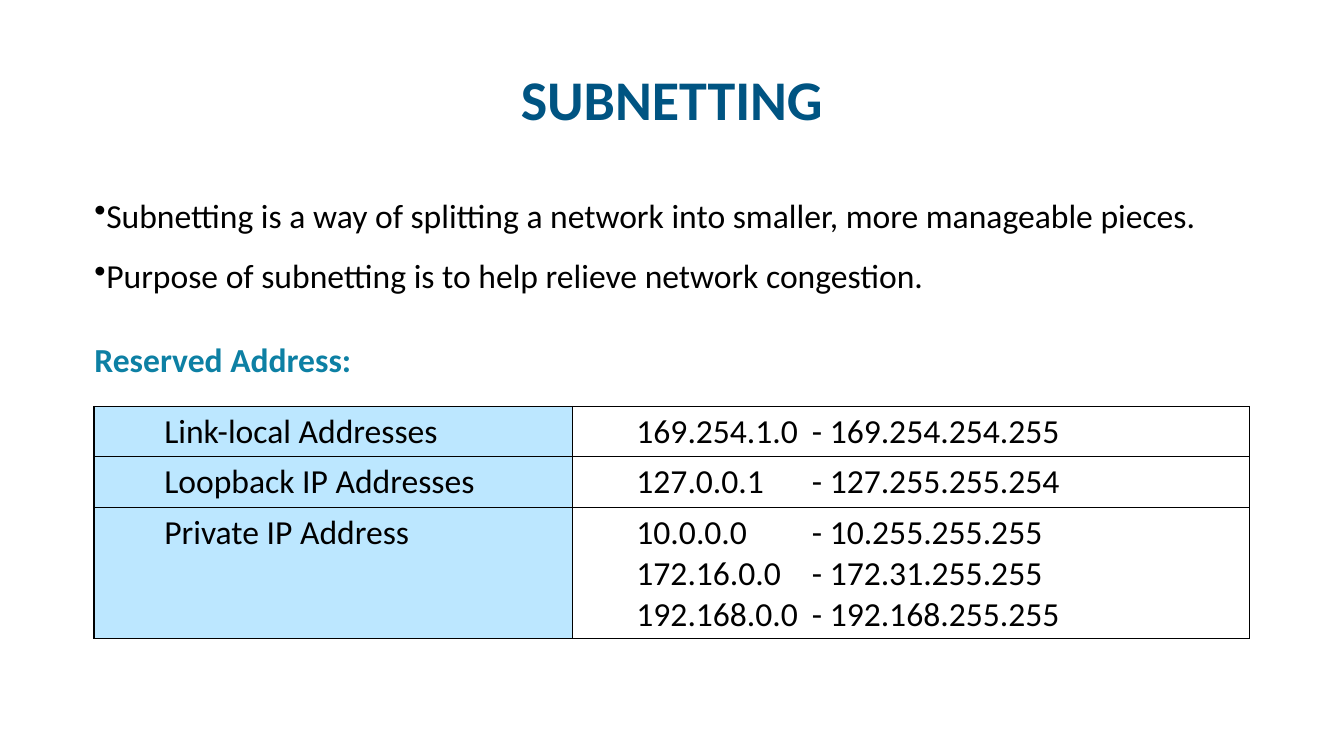
from lxml.etree import SubElement
from pptx import Presentation
from pptx.dml.color import RGBColor
from pptx.enum.text import PP_ALIGN as Align
from pptx.oxml import parse_xml
from pptx.oxml.ns import nsdecls, qn
from pptx.util import Cm, Pt

BLACK = "000000"


def color(value):
    return RGBColor.from_string(value)


def write(frame, text, size=24, ink=BLACK, bold=False):
    frame.text = text
    for para in frame.paragraphs:
        for span in para.runs:
            span.font.name = "Calibri"
            span.font.size = Pt(size)
            span.font.bold = bold
            span.font.color.rgb = color(ink)


deck = Presentation()
deck.slide_width, deck.slide_height = Cm(33.87), Cm(19.05)
page = deck.slides.add_slide(deck.slide_layouts[6])

title = page.shapes.add_textbox(Cm(12.83), Cm(1.5), Cm(8.2), Cm(1.96))
title.text_frame.word_wrap = False
write(title.text_frame, "SUBNETTING", 40, "005482", True)
title.text_frame.paragraphs[0].alignment = Align.CENTER

intro = page.shapes.add_textbox(Cm(2.13), Cm(4.27), Cm(28.8), Cm(3.33))
intro.text_frame.word_wrap = True
write(intro.text_frame,
      "Subnetting is a way of splitting a network into smaller, more manageable pieces.\n"
      "Purpose of subnetting is to help relieve network congestion.")
for para in intro.text_frame.paragraphs:
    para.line_spacing = 1.5
    SubElement(para._p.get_or_add_pPr(), qn("a:buChar"), char="•")

heading = page.shapes.add_textbox(Cm(2.13), Cm(8.41), Cm(7.06), Cm(2.06))
heading.text_frame.word_wrap = False
write(heading.text_frame, "Reserved Address:", 24, "0D80A4", True)

ranges = [
    ("Link-local Addresses", "169.254.1.0\t- 169.254.254.255"),
    ("Loopback IP Addresses", "127.0.0.1\t- 127.255.255.254"),
    ("Private IP Address",
     "10.0.0.0\t- 10.255.255.255\n"
     "172.16.0.0\t- 172.31.255.255\n"
     "192.168.0.0\t- 192.168.255.255"),
]
column_widths = [12.05, 17.06]
row_heights = [1.27, 1.27, 3.3]
text_insets = [1.77, 1.62]
table = page.shapes.add_table(len(ranges), 2, Cm(2.37), Cm(10.24),
                              Cm(sum(column_widths)), Cm(sum(row_heights))).table
table.first_row = table.horz_banding = False
for column, width in zip(table.columns, column_widths):
    column.width = Cm(width)

for row, height, texts in zip(table.rows, row_heights, ranges):
    row.height = Cm(height)
    for index, (cell, text) in enumerate(zip(row.cells, texts)):
        write(cell.text_frame, text)
        cell.margin_left = Cm(text_insets[index])
        if index == 0:
            cell.fill.solid()
            cell.fill.fore_color.rgb = color("BCE7FF")
        else:
            cell.fill.background()
            for para in cell.text_frame.paragraphs:
                tabs = SubElement(para._p.get_or_add_pPr(), qn("a:tabLst"))
                SubElement(tabs, qn("a:tab"), pos=str(Cm(4.42)), algn="l")
        for place, side in enumerate(("lnL", "lnR", "lnT", "lnB")):
            border = parse_xml(
                f'<a:{side} {nsdecls("a")} w="{Pt(1)}"><a:solidFill>'
                f'<a:srgbClr val="{BLACK}"/></a:solidFill></a:{side}>')
            cell._tc.get_or_add_tcPr().insert(place, border)

deck.save("out.pptx")
